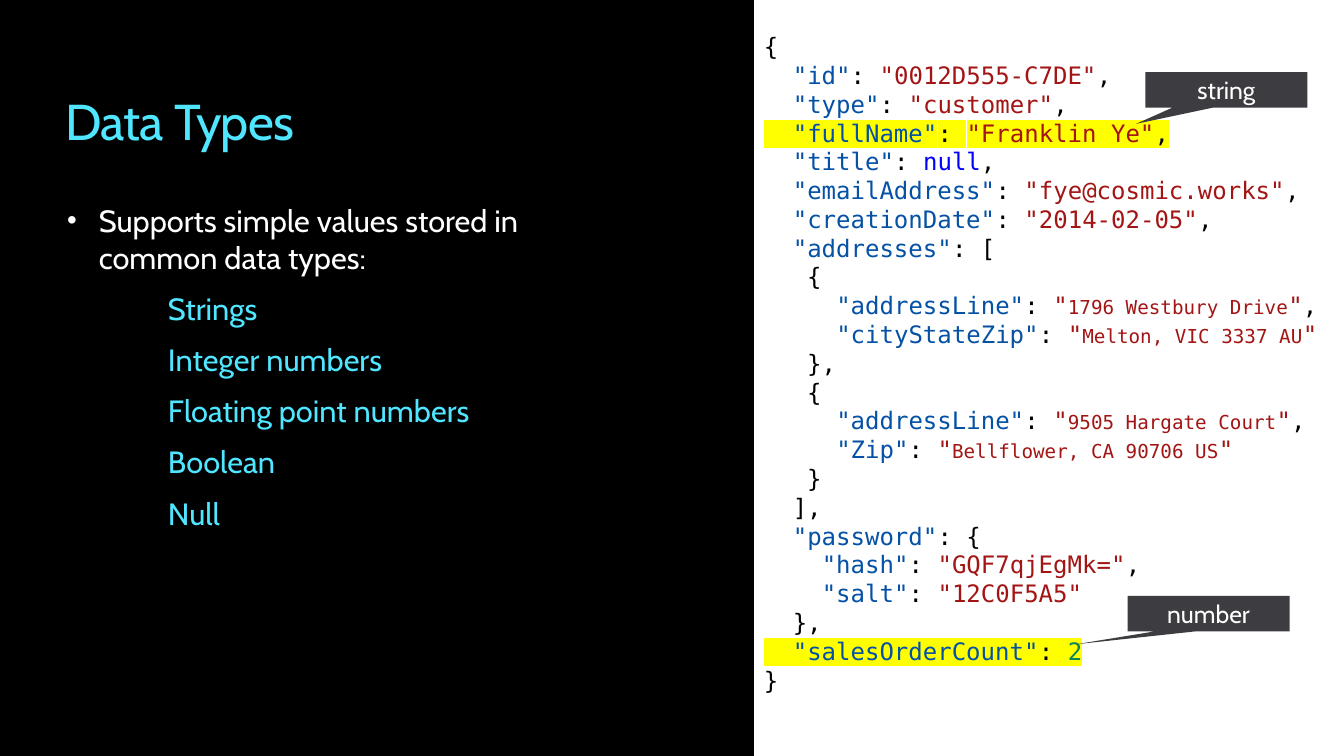
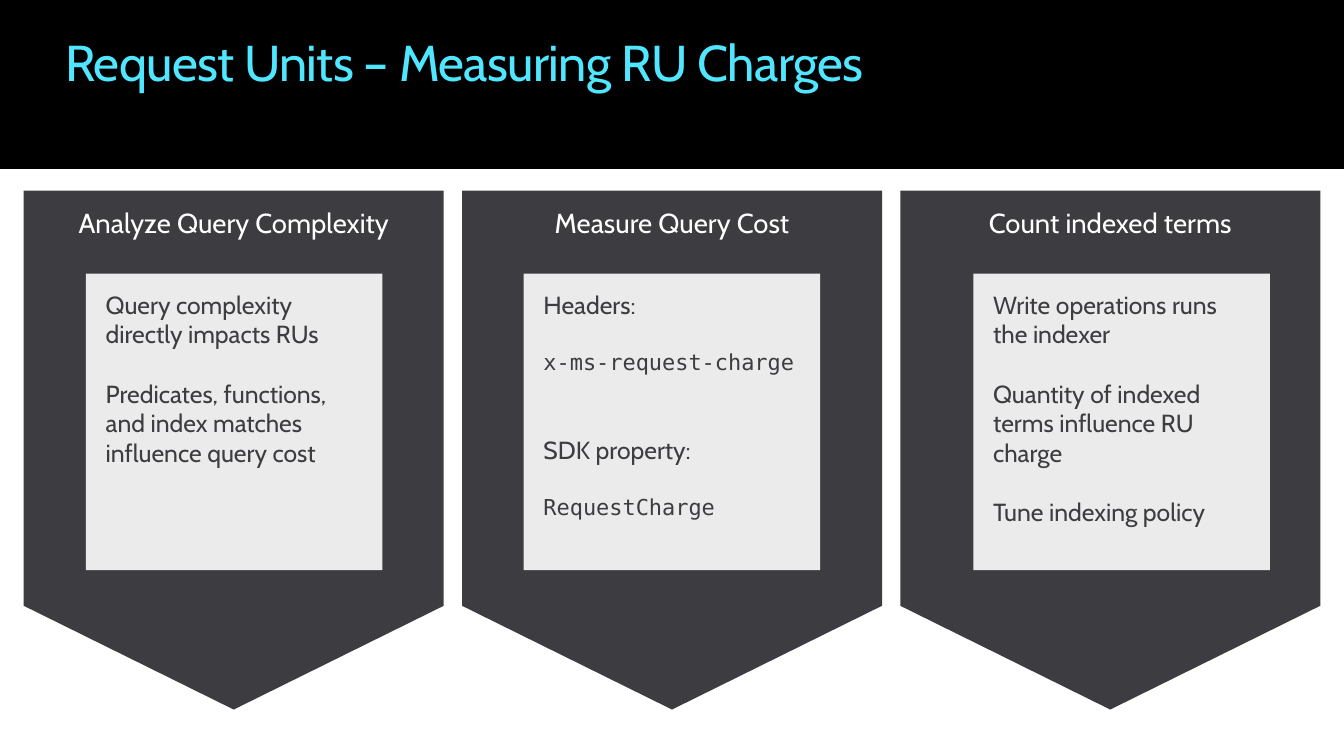
from lxml import etree
from pptx import Presentation
from pptx import util as u
from pptx.dml.color import RGBColor
from pptx.enum import shapes, text
from pptx.oxml.ns import qn

SANS, MONO = "Cabin", "DejaVu Sans Mono"
BLACK, WHITE, CYAN = "000000", "FFFFFF", "50E6FF"
DARK, PALE, YELLOW = "3C3C41", "EBEBEB", "FFFF00"
BLUE, RED, NAVY, GREEN = "0451A5", "A31515", "0000FF", "098658"
LEFT, MID = text.PP_ALIGN.LEFT, text.PP_ALIGN.CENTER
TOP, CORE = text.MSO_ANCHOR.TOP, text.MSO_ANCHOR.MIDDLE
LINE = 21.6
KIND = shapes.MSO_SHAPE

ROWS = [
    (0, "", "", "{"),
    (2, "id", '"0012D555-C7DE"', ","),
    (2, "type", '"customer"', ","),
    (2, "fullName", '"Franklin Ye"', ","),
    (2, "title", "null", ","),
    (2, "emailAddress", '"fye@cosmic.works"', ","),
    (2, "creationDate", '"2014-02-05"', ","),
    (2, "addresses", "", "["),
    (3, "", "", "{"),
    (5, "addressLine", '"1796 Westbury Drive"', ","),
    (5, "cityStateZip", '"Melton, VIC 3337 AU"', ""),
    (3, "", "", "},"),
    (3, "", "", "{"),
    (5, "addressLine", '"9505 Hargate Court"', ","),
    (5, "Zip", '"Bellflower, CA 90706 US"', ""),
    (3, "", "", "}"),
    (2, "", "", "],"),
    (2, "password", "", "{"),
    (4, "hash", '"GQF7qjEgMk="', ","),
    (4, "salt", '"12C0F5A5"', ""),
    (2, "", "", "},"),
    (2, "salesOrderCount", "2", ""),
    (0, "", "", "}"),
]
MARKED = {"fullName", "salesOrderCount"}
TYPES = ["Strings", "Integer numbers", "Floating point numbers", "Boolean", "Null"]
CARDS = [
    ("Analyze Query Complexity", 0.87, [
        ("Query complexity directly impacts RUs", 0, SANS),
        ("Predicates, functions, and index matches influence query cost", 1, SANS)]),
    ("Measure Query Cost", 5.3, [
        ("Headers:", 0, SANS),
        ("x-ms-request-charge", 1, MONO),
        ("SDK property:", 2, SANS),
        ("RequestCharge", 1, MONO)]),
    ("Count indexed terms", 9.85, [
        ("Write operations runs the indexer", 0, SANS),
        ("Quantity of indexed terms influence RU charge", 1, SANS),
        ("Tune indexing policy", 1, SANS)]),
]


def tint(code):
    return RGBColor.from_string(code)


def put(para, words, size=18, color=WHITE, face=SANS, mark=None, track=None):
    run = para.add_run()
    run.text = words
    font = run.font
    font.size, font.name = u.Pt(size), face
    font.color.rgb = tint(color)
    props = run._r.get_or_add_rPr()
    if track is not None:
        props.set("spc", str(track))
    if mark:
        glow = etree.Element(qn("a:highlight"))
        etree.SubElement(glow, qn("a:srgbClr"), val=mark)
        props.find(qn("a:solidFill")).addnext(glow)


class Deck:
    def __init__(self):
        self.show = Presentation()
        self.show.slide_width = u.Inches(13.6)
        self.show.slide_height = u.Inches(7.65)
        self.slide = None

    def start(self, kind):
        self.slide = self.show.slides.add_slide(self.show.slide_layouts[kind])

    def frame(self, shape, side=0, top=0, anchor=TOP, wrap=True):
        box = shape.text_frame
        box.margin_left = box.margin_right = u.Inches(side)
        box.margin_top = box.margin_bottom = u.Inches(top)
        box.vertical_anchor, box.word_wrap = anchor, wrap
        box.auto_size = text.MSO_AUTO_SIZE.NONE
        return box

    def line(self, box, first, align=LEFT):
        para = box.paragraphs[0] if first else box.add_paragraph()
        para.alignment = align
        return para

    def place(self, shape, *at):
        shape.left, shape.top, shape.width, shape.height = map(u.Inches, at)
        return self.frame(shape)

    def title(self, words, top, wide):
        box = self.place(self.slide.shapes.title, 0.66, top, wide, 0.63)
        put(self.line(box, True), words, size=36.7, color=CYAN, track=-50)

    def shape(self, kind, at, fill):
        item = self.slide.shapes.add_shape(kind, *map(u.Inches, at))
        item.shadow.inherit = False
        item.fill.solid()
        item.fill.fore_color.rgb = tint(fill)
        item.line.fill.background()
        return item

    def panel(self, *at):
        item = self.shape(KIND.RECTANGLE, at, BLACK)
        self.slide.shapes._spTree.insert(2, item._element)

    def label(self, kind, at, words, size=18, anchor=TOP):
        item = self.shape(kind, at, DARK)
        box = self.frame(item, 0.2, 0.16, anchor)
        put(self.line(box, True, MID), words, size=size)
        return item

    def callout(self, left, top, words, tip):
        item = self.label(KIND.RECTANGULAR_CALLOUT, (left, top, 1.64, 0.36),
                          words, anchor=CORE)
        item.adjustments[0], item.adjustments[1] = tip

    def points(self, lead, names):
        box = self.place(self.slide.placeholders[1], 0.68, 2.04, 5.56, 3.44)
        for spot, words in enumerate([lead] + names):
            para = self.line(box, spot == 0)
            props = para._p.get_or_add_pPr()
            props.set("marL", str(u.Inches(1.02 if spot else 0.32)))
            props.set("indent", str(u.Inches(0 if spot else -0.32)))
            if spot:
                etree.SubElement(props, qn("a:buNone"))
            else:
                etree.SubElement(props, qn("a:buSzPct"), val="90000")
                etree.SubElement(props, qn("a:buChar"), char="•")
            para.space_before = u.Pt(4.3 if spot else 0)
            para.space_after = u.Pt(6.1)
            put(para, words, size=22.4, color=CYAN if spot else WHITE)

    def code(self, rows):
        item = self.slide.shapes.add_textbox(*map(u.Inches, (7.73, 0.32, 5.5, 6.75)))
        box = self.frame(item, wrap=False)
        for spot, (indent, key, value, tail) in enumerate(rows):
            para = self.line(box, spot == 0)
            small = indent == 5
            bits = [(" " * indent, BLACK, 17.5)]
            if key:
                bits += [(f'"{key}"', BLUE, 17.5), (": ", BLACK, 17.5)]
            if small and value:
                bits += [('"', RED, 17.5), (value.strip('"'), RED, 14), ('"', RED, 17.5)]
            else:
                hue = RED if value.startswith('"') else NAVY if value == "null" else GREEN
                bits.append((value, hue, 17.5))
            bits.append((tail, BLACK, 17.5))
            for words, color, size in bits:
                if words:
                    put(para, words, size=size, color=color, face=MONO,
                        mark=YELLOW if key in MARKED else None)

    def note(self, left, items):
        item = self.shape(KIND.RECTANGLE, (left, 2.77, 3, 3), PALE)
        box = self.frame(item, 0.2, 0.16)
        for spot, (words, gap, face) in enumerate(items):
            para = self.line(box, spot == 0)
            para.space_before = u.Pt(gap * LINE)
            put(para, words, size=16 if face == MONO else 18, color=DARK, face=face)


def main():
    deck = Deck()

    deck.start(1)
    deck.title("Data Types", 0.91, 6.7)
    deck.points("Supports simple values stored in common data types:", TYPES)
    deck.panel(0, -0.01, 7.63, 7.66)
    deck.code(ROWS)
    deck.callout(11.59, 0.73, "string", (-0.557, 0.956))
    deck.callout(11.41, 6.03, "number", (-0.818, 0.862))

    deck.start(5)
    deck.title("Request Units – Measuring RU Charges", 0.31, 12.2)
    deck.panel(0, 0, 13.6, 1.71)
    for spot, (head, left, items) in enumerate(CARDS):
        at = (0.24 + spot * 4.435, 1.93, 4.25, 5.25)
        deck.label(KIND.FLOWCHART_OFFPAGE_CONNECTOR, at, head, size=20)
        deck.note(left, items)

    deck.show.save("out.pptx")


if __name__ == "__main__":
    main()
